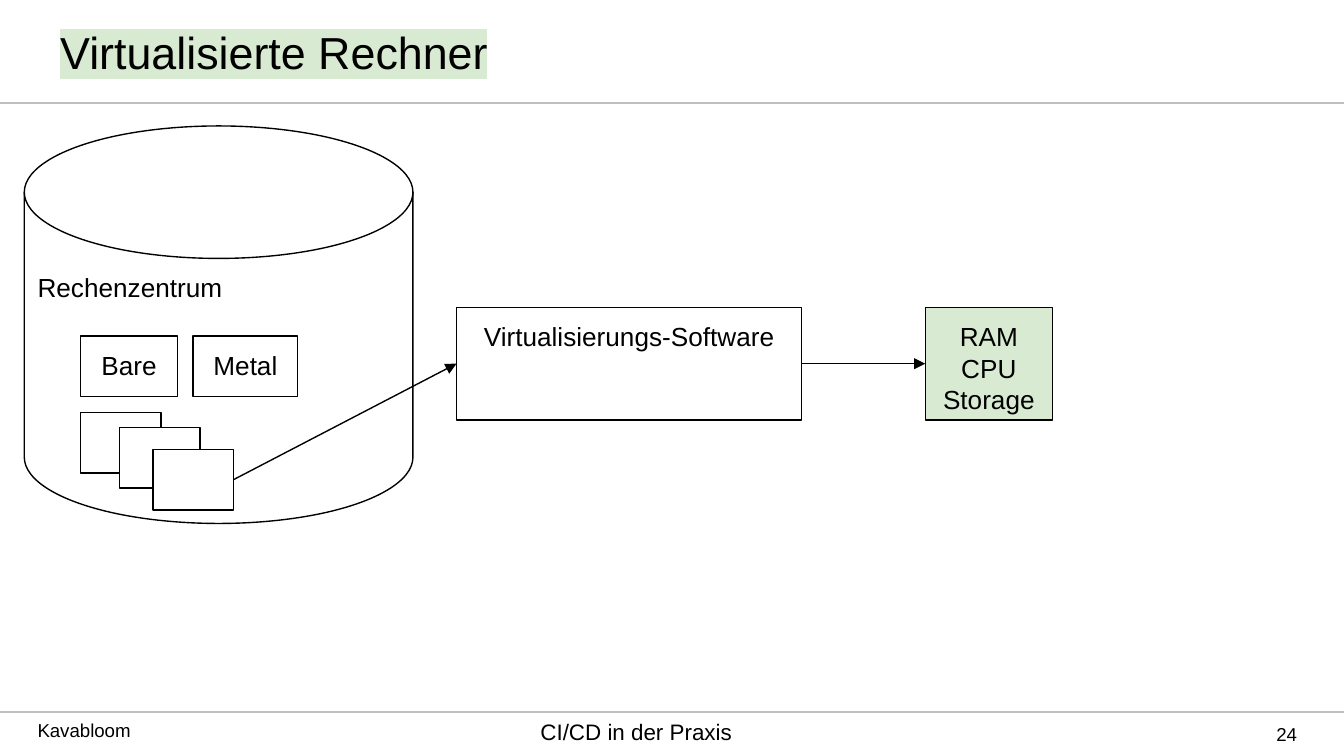
"""Build the slide on virtualised computers."""
from dataclasses import dataclass

from lxml.etree import SubElement
from pptx import Presentation
from pptx.dml.color import RGBColor
from pptx.enum.shapes import MSO_CONNECTOR, MSO_SHAPE
from pptx.enum.text import MSO_ANCHOR, PP_ALIGN
from pptx.oxml.ns import qn
from pptx.util import Pt


@dataclass(frozen=True)
class Theme:
    """Colours, font and sizes of the slide."""
    ink: str = "000000"
    paper: str = "FFFFFF"
    accent: str = "D9EAD3"
    rule: str = "BFBFBF"
    font: str = "Arial"
    title: int = 24
    body: int = 14
    footer: int = 12
    small: int = 10
    outline: float = 0.75
    rule_width: float = 1


THEME = Theme()
WIDTH, HEIGHT = 720, 405
TOP_RULE, BOTTOM_RULE = 55.4, 381.6


def rgb(value):
    """Turn a hex string into a colour."""
    return RGBColor.from_string(value)


def highlight(r, color):
    """Put a marker colour behind a run."""
    mark = SubElement(r.font.fill._xPr, qn("a:highlight"))
    SubElement(mark, qn("a:srgbClr"), val=color)
    r.font.fill._xPr.find(qn("a:solidFill")).addnext(mark)


def write(sp, lines, size, align, anchor, insets, marker=None):
    """Fill a shape with one paragraph per line."""
    tf = sp.text_frame
    tf.word_wrap = True
    tf.vertical_anchor = anchor
    tf.margin_left = tf.margin_right = Pt(insets[0])
    tf.margin_top = tf.margin_bottom = Pt(insets[1])
    for i, line in enumerate(lines):
        p = tf.add_paragraph() if i else tf.paragraphs[0]
        p.alignment = align
        r = p.add_run()
        r.text = line
        r.font.size = Pt(size)
        r.font.color.rgb = rgb(THEME.ink)
        if marker:
            highlight(r, marker)
        r.font.name = THEME.font


def add_label(s, box, text, size, align=PP_ALIGN.LEFT,
              anchor=MSO_ANCHOR.TOP, insets=(7.2, 0), marker=None):
    """Add a line of free text."""
    sp = s.shapes.add_textbox(*map(Pt, box))
    write(sp, [text], size, align, anchor, insets, marker)


def add_node(s, box, lines=(), kind=MSO_SHAPE.RECTANGLE,
             fill=THEME.paper, align=PP_ALIGN.CENTER):
    """Add an outlined shape and return it."""
    sp = s.shapes.add_shape(kind, *map(Pt, box))
    sp.shadow.inherit = False
    sp.fill.solid()
    sp.fill.fore_color.rgb = rgb(fill)
    sp.line.color.rgb = rgb(THEME.ink)
    sp.line.width = Pt(THEME.outline)
    write(sp, lines, THEME.body, align, MSO_ANCHOR.TOP, (7.2, 7.2))
    return sp


def add_line(s, start, end, color, width):
    """Add a straight line without shadow and return it."""
    line = s.shapes.add_connector(
        MSO_CONNECTOR.STRAIGHT, *map(Pt, (*start, *end)))
    line.line.color.rgb = rgb(color)
    line.line.width = Pt(width)
    SubElement(line._element.spPr, qn("a:effectLst"))
    return line


def add_arrow(s, source, target):
    """Join the right side of one node to the left side of another."""
    arrow = add_line(s, (0, 0), (0, 0), THEME.ink, THEME.outline)
    arrow.begin_connect(source, 3)
    arrow.end_connect(target, 1)
    SubElement(arrow.line._get_or_add_ln(), qn("a:tailEnd"), type="triangle")


def add_frame(s):
    """Add the rules, title, footer and slide number."""
    for y in (BOTTOM_RULE, TOP_RULE):
        add_line(s, (0, y), (WIDTH, y), THEME.rule, THEME.rule_width)
    add_label(s, (13, 385.2, 140.4, 16), "Kavabloom", THEME.small)
    add_label(s, (228.2, 384.5, 225.4, 23.8), "CI/CD in der Praxis",
              THEME.footer, PP_ALIGN.CENTER)
    add_label(s, (25.2, 0, 448, TOP_RULE), "Virtualisierte Rechner",
              THEME.title, anchor=MSO_ANCHOR.MIDDLE, insets=(7.2, 3.6),
              marker=THEME.accent)
    add_label(s, (630, BOTTOM_RULE, 64.8, 23.8), "24", THEME.small,
              PP_ALIGN.RIGHT, MSO_ANCHOR.MIDDLE, (0, 0))


def add_diagram(s):
    """Add the data centre, the software and the virtual machine."""
    add_node(s, (13, 67.5, 208.2, 213), ["Rechenzentrum"],
             MSO_SHAPE.FLOWCHART_MAGNETIC_DISK, align=PP_ALIGN.LEFT)
    for x, width, word in ((43.2, 52, "Bare"), (103.5, 56, "Metal")):
        add_node(s, (x, 180, width, 32.5), [word])
    for x, y in ((43.2, 221), (64, 229), (82, 240.7)):
        server = add_node(s, (x, y, 43.2, 32.5))
    software = add_node(s, (244.6, 164.6, 185, 60.5),
                        ["Virtualisierungs-Software"])
    machine = add_node(s, (495.7, 164.6, 68.2, 60.5),
                       ["RAM", "CPU", "Storage"], fill=THEME.accent)
    add_arrow(s, software, machine)
    add_arrow(s, server, software)


def main():
    """Build and save the presentation."""
    prs = Presentation()
    prs.slide_width, prs.slide_height = Pt(WIDTH), Pt(HEIGHT)
    s = prs.slides.add_slide(prs.slide_layouts[6])
    add_frame(s)
    add_diagram(s)
    prs.save("out.pptx")


if __name__ == "__main__":
    main()
